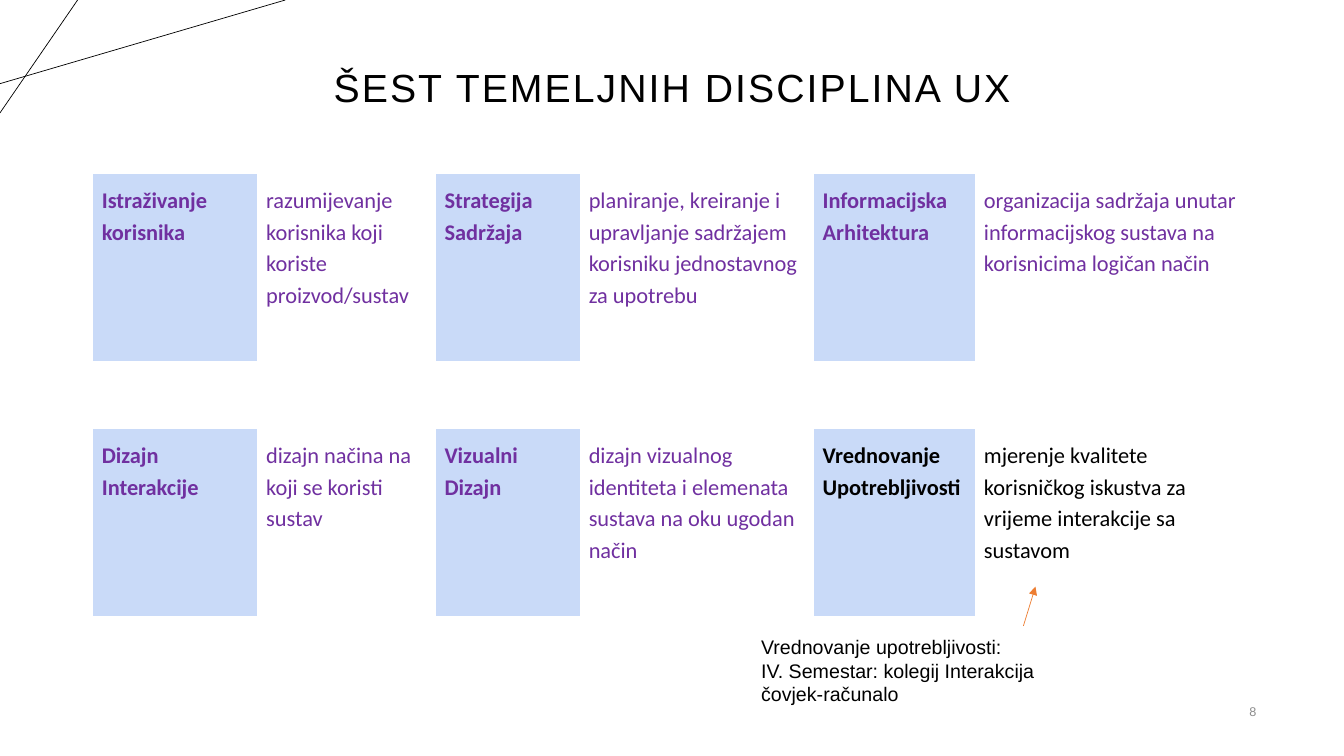
"""Builds the slide on the six core disciplines of UX."""
from pptx import Presentation
from pptx.dml.color import RGBColor
from pptx.enum import shapes, text
from pptx.oxml import ns, xmlchemy
from pptx.util import Inches, Pt


def paint(color_format, hex_color):
    color_format.rgb = RGBColor.from_string(hex_color)


def write(paragraph, words, size, color, font="Arial", bold=False):
    run = paragraph.add_run()
    run.text = words
    run.font.name, run.font.size, run.font.bold = font, Pt(size), bold
    paint(run.font.color, color)
    return run


PURPLE, BLACK, PALE_BLUE = "7030A0", "000000", "C9DAF8"
NO_STYLE = "{2D5ABB26-0587-4C30-8999-92F81FD0307C}"

deck = Presentation()
deck.slide_width, deck.slide_height = Inches(13.33), Inches(7.5)
slide = deck.slides.add_slide(deck.slide_layouts[5])

lines = []
for x1, y1, x2, y2, color in [
    (0, 0.83, 2.83, 0, BLACK),
    (0.77, 0, 0, 1.12, BLACK),
    (10.15, 6.21, 10.27, 5.82, "ED7D31"),
]:
    line = slide.shapes.add_connector(
        shapes.MSO_CONNECTOR.STRAIGHT, Inches(x1), Inches(y1), Inches(x2), Inches(y2))
    line.line.width = Pt(0.5)
    paint(line.line.color, color)
    line._element.spPr.append(xmlchemy.OxmlElement("a:effectLst"))
    lines.append(line)
arrowhead = xmlchemy.OxmlElement("a:tailEnd")
arrowhead.set("type", "triangle")
lines[-1].line._get_or_add_ln().append(arrowhead)

heading = slide.shapes.title
heading.left, heading.top = Inches(0.92), Inches(0.4)
heading.width, heading.height = Inches(11.5), Inches(0.99)
heading.text_frame.vertical_anchor = text.MSO_ANCHOR.MIDDLE
heading_line = heading.text_frame.paragraphs[0]
heading_line.alignment = text.PP_ALIGN.CENTER
heading_line.line_spacing = 0.9
heading_run = write(heading_line, "ŠEST TEMELJNIH DISCIPLINA UX", 28, BLACK)
heading_run.font._element.set("spc", "150")

disciplines = [
    [
        (["Istraživanje korisnika"], "razumijevanje korisnika koji koriste proizvod/sustav", PURPLE),
        (["Strategija Sadržaja"],
         "planiranje, kreiranje i upravljanje sadržajem korisniku jednostavnog za upotrebu", PURPLE),
        (["Informacijska Arhitektura"],
         "organizacija sadržaja unutar informacijskog sustava na korisnicima logičan način", PURPLE),
    ],
    [
        (["Dizajn", "Interakcije"], "dizajn načina na koji se koristi sustav", PURPLE),
        (["Vizualni", "Dizajn"],
         "dizajn vizualnog identiteta i elemenata sustava na oku ugodan način", PURPLE),
        (["Vrednovanje Upotrebljivosti"],
         "mjerenje kvalitete korisničkog iskustva za vrijeme interakcije sa sustavom", BLACK),
    ],
]
overview = slide.shapes.add_table(
    3, 6, Inches(0.92), Inches(1.73), Inches(11.5), Inches(4.37)).table
overview.first_row = overview.horz_banding = False
overview._tbl.tblPr.find(ns.qn("a:tableStyleId")).text = NO_STYLE
for column, width in zip(overview.columns, [1.63, 1.77, 1.43, 2.32, 1.6, 2.76]):
    column.width = Inches(width)
for row, height in zip(overview.rows, [1.85, 0.68, 1.85]):
    row.height = Inches(height)
for cell in overview.iter_cells():
    cell.fill.background()
    cell.margin_left = cell.margin_right = Inches(0.09)
    cell.margin_top = cell.margin_bottom = Inches(0.09)

for band, group in enumerate(disciplines):
    for pair, (name_lines, meaning, color) in enumerate(group):
        name_cell = overview.cell(band * 2, pair * 2)
        name_cell.fill.solid()
        paint(name_cell.fill.fore_color, PALE_BLUE)
        meaning_cell = overview.cell(band * 2, pair * 2 + 1)
        for cell, entries, bold in [(name_cell, name_lines, True), (meaning_cell, [meaning], False)]:
            for index, entry in enumerate(entries):
                frame = cell.text_frame
                paragraph = frame.add_paragraph() if index else frame.paragraphs[0]
                paragraph.line_spacing = 1.15
                write(paragraph, entry, 16, color, "Calibri", bold)

course_note = slide.shapes.add_textbox(
    Inches(7.45), Inches(6.25), Inches(3.52), Inches(0.81)).text_frame
course_note.word_wrap = True
write(course_note.paragraphs[0], "Vrednovanje upotrebljivosti:", 14, BLACK)
write(course_note.add_paragraph(), "IV. Semestar: kolegij Interakcija čovjek-računalo", 14, BLACK)

page_number = slide.shapes.add_textbox(
    Inches(9.56), Inches(6.86), Inches(3), Inches(0.4)).text_frame
page_number.word_wrap = True
page_number.vertical_anchor = text.MSO_ANCHOR.MIDDLE
page_number.paragraphs[0].alignment = text.PP_ALIGN.RIGHT
page_number.paragraphs[0].space_after = Pt(6)
write(page_number.paragraphs[0], "8", 9, "8C8C8C")

deck.save("out.pptx")
